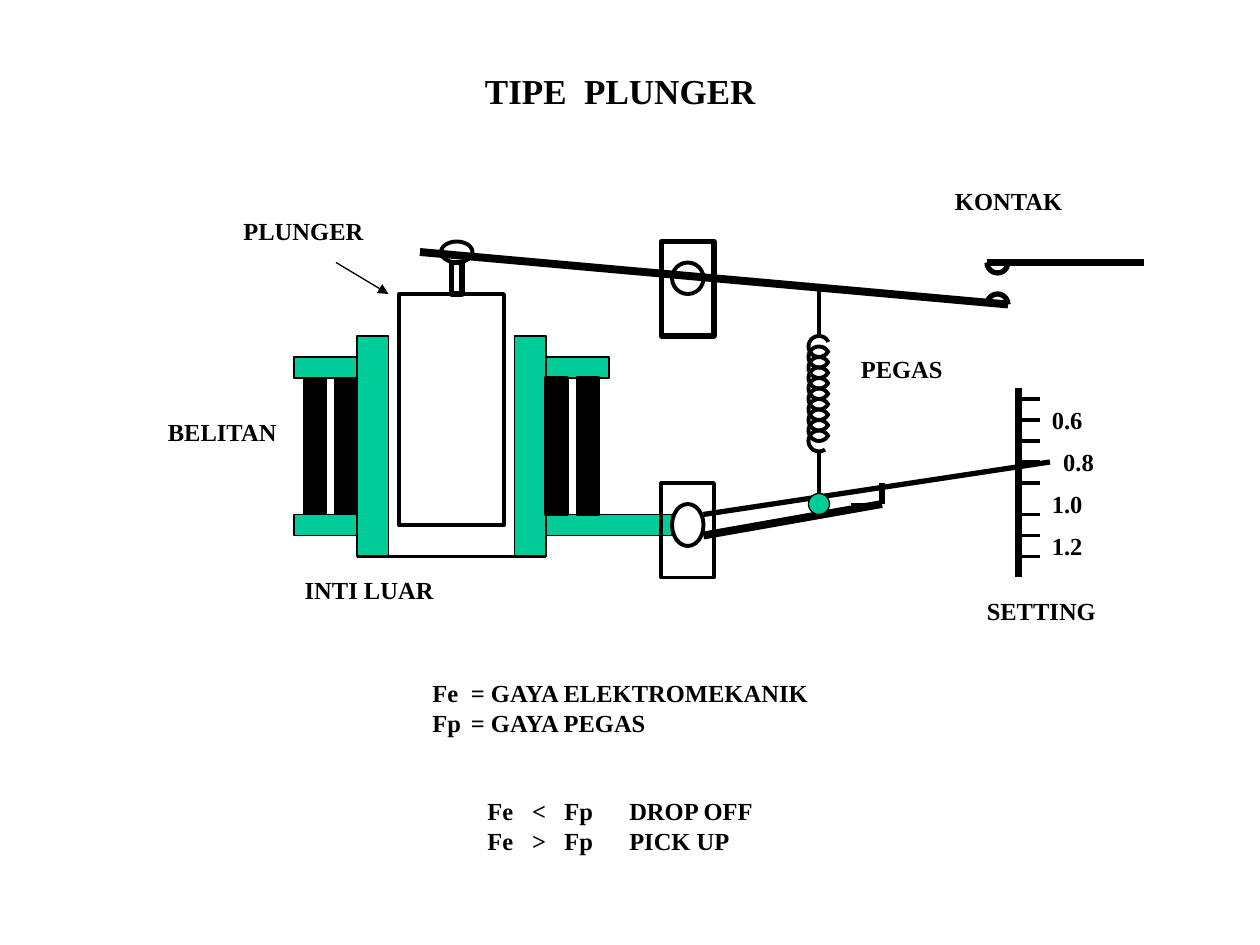
from dataclasses import dataclass

from lxml.etree import SubElement
from pptx import Presentation
from pptx.dml.color import RGBColor as Color
from pptx.enum.shapes import MSO_CONNECTOR as Connector, MSO_SHAPE as Preset
from pptx.oxml.ns import qn
from pptx.util import Pt


@dataclass(frozen=True)
class Theme:
    black: Color = Color(0x00, 0x00, 0x00)
    green: Color = Color(0x00, 0xCC, 0x99)
    font: str = "Times New Roman"
    title_size: float = 20
    label_size: float = 14
    thin: float = 0.75
    medium: float = 2.25
    strong: float = 3
    heavy: float = 4.5


class Drawing:
    """Holds the theme and the current page; all lengths are in points."""

    def __init__(self, page, theme):
        self.page = page
        self.theme = theme

    def shape(self, preset, left, top, width, height, weight, fill=None):
        shape = self.page.shapes.add_shape(
            preset, Pt(left), Pt(top), Pt(width), Pt(height))
        shape.shadow.inherit = False
        if fill is None:
            shape.fill.background()
        else:
            shape.fill.solid()
            shape.fill.fore_color.rgb = fill
        shape.line.color.rgb = self.theme.black
        shape.line.width = Pt(weight)
        return shape

    def rect(self, left, top, width, height, weight, fill=None):
        self.shape(Preset.RECTANGLE, left, top, width, height, weight, fill)

    def ellipse(self, left, top, width, height, weight, fill=None):
        self.shape(Preset.OVAL, left, top, width, height, weight, fill)

    def arc(self, left, top, size, start, end, weight):
        """Open arc running clockwise between two angles in degrees."""
        arc = self.shape(Preset.ARC, left, top, size, size, weight)
        for index, angle in enumerate((start, end)):
            arc.adjustments[index] = angle * 0.6

    def line(self, x1, y1, x2, y2, weight, arrow=False):
        line = self.page.shapes.add_connector(
            Connector.STRAIGHT, Pt(x1), Pt(y1), Pt(x2), Pt(y2))
        line.line.color.rgb = self.theme.black
        line.line.width = Pt(weight)
        properties = line._element.spPr
        if arrow:
            SubElement(properties.find(qn("a:ln")), qn("a:tailEnd"), type="triangle")
        SubElement(properties, qn("a:effectLst"))

    def text(self, left, top, width, height, words, size=None):
        box = self.page.shapes.add_textbox(Pt(left), Pt(top), Pt(width), Pt(height))
        frame = box.text_frame
        frame.text = words
        frame.word_wrap = True
        frame.margin_right = 0
        for para in frame.paragraphs:
            for span in para.runs:
                span.font.name = self.theme.font
                span.font.size = Pt(size or self.theme.label_size)
                span.font.bold = True
                span.font.color.rgb = self.theme.black
        return frame.paragraphs

    def tab_stops(self, para, stops):
        properties = para._p.get_or_add_pPr()
        SubElement(properties, qn("a:buNone"))
        tabs = SubElement(properties, qn("a:tabLst"))
        for stop in stops:
            SubElement(tabs, qn("a:tab"), pos=str(int(Pt(stop))), algn="l")


def draw_coil(drawing):
    theme = drawing.theme
    for left in (174, 192):
        drawing.rect(left, 216, 12, 78, theme.medium, theme.black)
    for top in (294, 204):
        drawing.rect(168, top, 48, 12, theme.thin, theme.green)
    for left in (204, 294):
        drawing.rect(left, 192, 18, 126, theme.thin, theme.green)
    for top, width in ((204, 36), (294, 72)):
        drawing.rect(312, top, width, 12, theme.thin, theme.green)
    for left in (312, 330):
        drawing.rect(left, 216, 12, 78, theme.medium, theme.black)
    drawing.line(204, 318, 312, 318, theme.medium)


def draw_plunger(drawing):
    theme = drawing.theme
    drawing.rect(228, 168, 60, 132, theme.medium)
    drawing.rect(258, 150, 6, 18, theme.strong)
    drawing.ellipse(252, 138, 18, 12, theme.medium)


def draw_levers(drawing):
    theme = drawing.theme
    drawing.arc(564, 168, 12, 190, 360, theme.strong)
    drawing.line(564, 150, 654, 150, theme.heavy)
    drawing.arc(564, 144, 12, 5, 180, theme.strong)
    drawing.rect(378, 276, 30, 54, theme.medium)
    drawing.rect(378, 138, 30, 54, theme.strong)
    drawing.line(240, 144, 576, 174, theme.heavy)
    drawing.ellipse(384, 150, 18, 18, theme.medium)
    drawing.ellipse(384, 288, 18, 24, theme.medium)
    drawing.line(402, 294, 600, 264, theme.strong)
    drawing.line(402, 306, 504, 288, theme.heavy)
    drawing.line(504, 276, 504, 288, theme.strong)
    drawing.line(486, 288, 504, 288, theme.thin)


def draw_spring(drawing):
    theme = drawing.theme
    turns = 10
    for turn in range(turns):
        start = 55 if turn == turns - 1 else 23
        drawing.arc(462, 192 + 6 * turn, 12, start, 334, theme.medium)
    drawing.line(468, 258, 468, 288, theme.medium)
    drawing.line(468, 192, 468, 162, theme.medium)
    drawing.ellipse(462, 282, 12, 12, theme.thin, theme.green)


def draw_scale(drawing):
    theme = drawing.theme
    drawing.line(582, 222, 582, 330, theme.heavy)
    for y in (*range(228, 277, 12), *range(294, 319, 12)):
        drawing.line(582, y, 594, y, theme.medium)
    for row, value in enumerate(("0.6", "0.8", "1.0", "1.2")):
        left = 600.5 if value == "0.8" else 594
        drawing.text(left, 228 + 24 * row, 31.7, 24.5, value)


def draw_labels(drawing):
    theme = drawing.theme
    for words, left, top, width in (
        ("PEGAS", 484.8, 198.7, 61.2),
        ("KONTAK", 538.6, 103, 76.3),
        ("SETTING", 556.8, 337, 76.3),
        ("PLUNGER", 132, 120.2, 82.8),
        ("BELITAN", 88.8, 234.7, 77.8),
        ("INTI LUAR", 167, 325, 87.8),
    ):
        drawing.text(left, top, width, 24.5, words)
    drawing.line(192, 150, 222, 168, theme.thin, arrow=True)
    drawing.text(270, 36, 169.2, 31.7, "TIPE  PLUNGER", theme.title_size)


def draw_formulas(drawing):
    paras = drawing.text(
        240, 384, 232, 108,
        "Fe\t= GAYA ELEKTROMEKANIK\n"
        "Fp\t= GAYA PEGAS\n"
        "\tFe\t<\tFp\tDROP OFF\n"
        "\tFe\t>\tFp\tPICK UP")
    paras[2].space_before = Pt(34)
    for para in paras[:2]:
        drawing.tab_stops(para, (22,))
    for para in paras[2:]:
        drawing.tab_stops(para, (31.5, 57, 75.5, 112.5))


def main():
    deck = Presentation()
    deck.slide_width, deck.slide_height = Pt(720), Pt(540)
    page = deck.slides.add_slide(deck.slide_layouts[6])
    drawing = Drawing(page, Theme())
    for draw in (draw_coil, draw_plunger, draw_levers, draw_spring,
                 draw_scale, draw_labels, draw_formulas):
        draw(drawing)
    deck.save("out.pptx")


if __name__ == "__main__":
    main()
